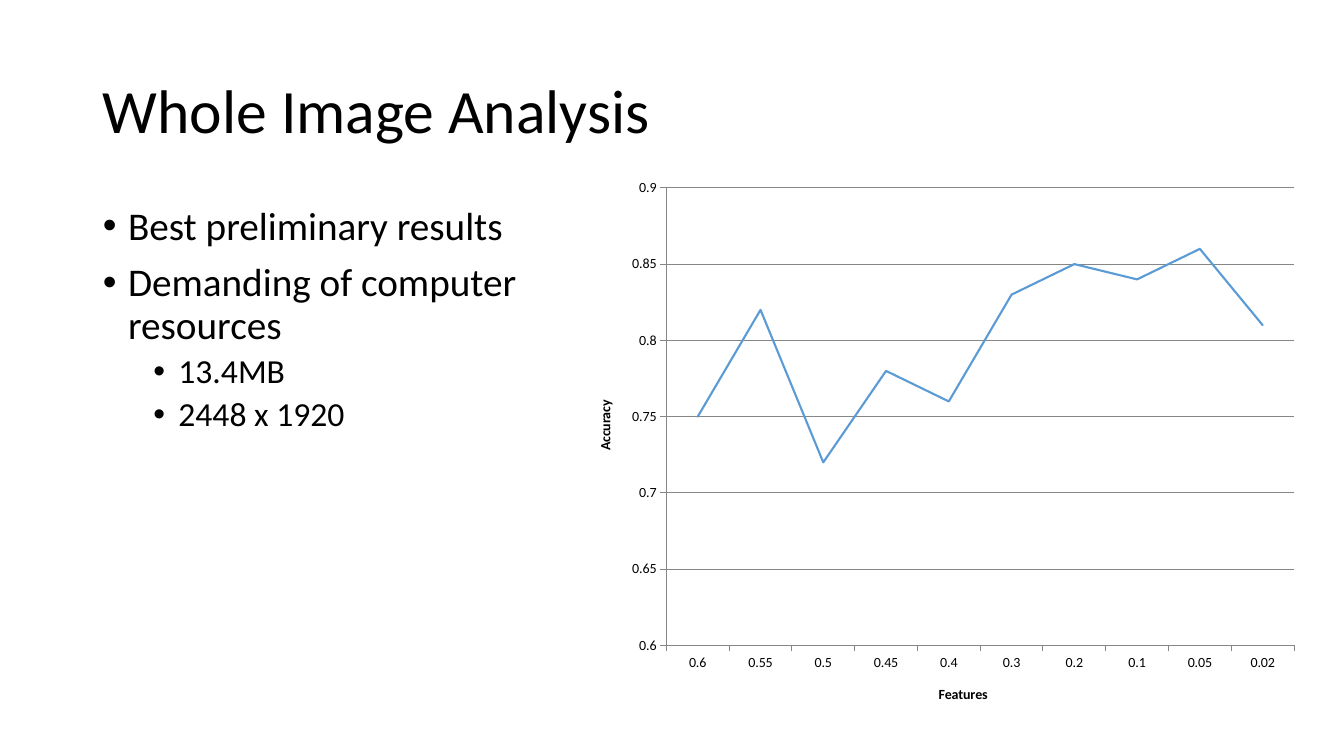
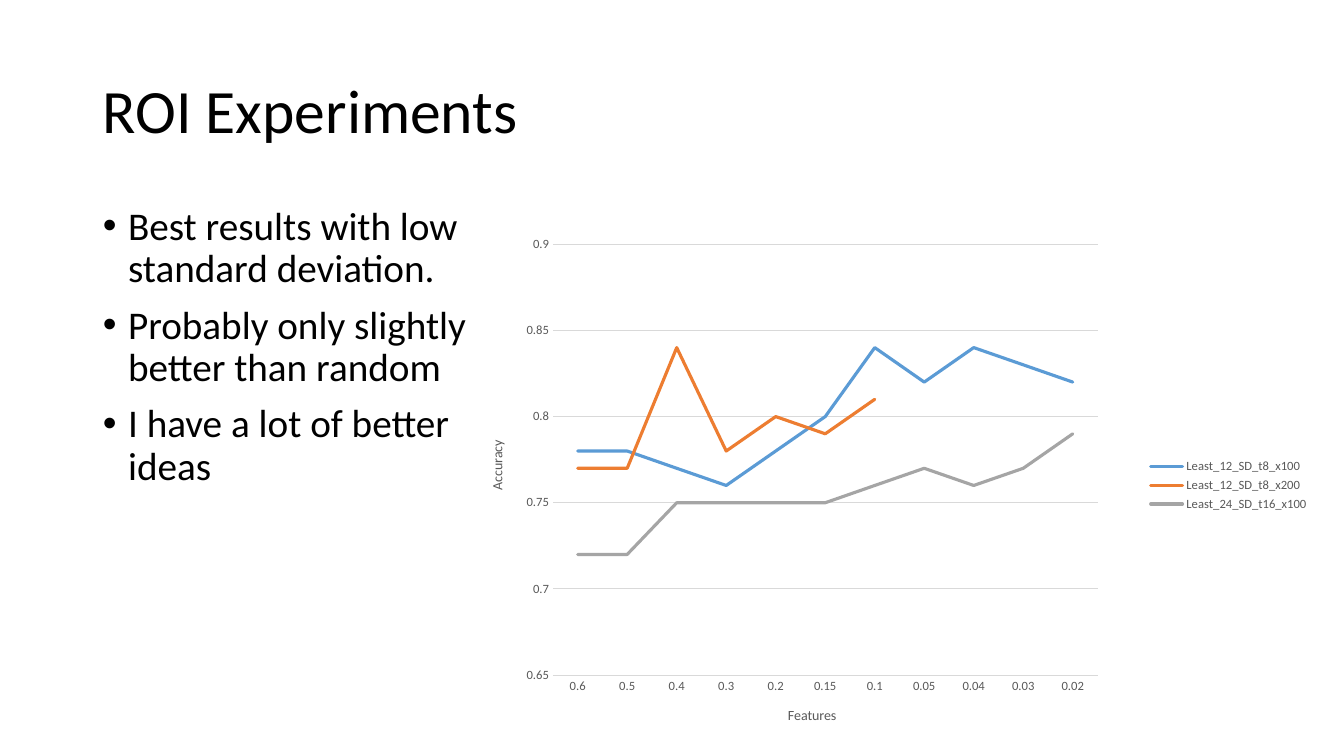
"""Build two slides that pair a bullet list with a line chart of accuracy."""
from dataclasses import dataclass
from typing import Any, Optional

import lxml.etree
import pptx
import pptx.chart.data
import pptx.dml.color
import pptx.enum.chart
import pptx.enum.text
import pptx.oxml.ns
import pptx.util

Inches = pptx.util.Inches
Pt = pptx.util.Pt
qn = pptx.oxml.ns.qn
XL = pptx.enum.chart

FONT = "Calibri"
COLORS = {
    "text": "000000",
    "muted": "595959",
    "rule": "868686",
    "pale": "D9D9D9",
    "blue": "5B9BD5",
    "orange": "ED7D31",
    "gray": "A5A5A5",
}
SERIES_COLORS = ("blue", "orange", "gray")
LEVELS = (
    {"size": 28, "before": 10, "margin": 0.25},
    {"size": 24, "before": 5, "margin": 0.75},
)


@dataclass(frozen=True)
class ChartStyle:
    kind: Any
    label_size: int
    text: str
    axis_color: str
    value_line: bool
    tick: Any
    bold_titles: bool
    line_width: float
    legend: bool


@dataclass(frozen=True)
class ChartSlide:
    title: str
    bullets: tuple[tuple[int, str], ...]
    body_width: float
    box: tuple[float, float, float, float]
    plot: tuple[float, float, float, float]
    value_min: float
    categories: tuple[str, ...]
    series: dict[str, tuple[Optional[float], ...]]
    style: ChartStyle


PLAIN = ChartStyle(XL.XL_CHART_TYPE.LINE_STACKED, 10, "text", "rule", True,
                   XL.XL_TICK_MARK.OUTSIDE, True, 1.5, False)
SOFT = ChartStyle(XL.XL_CHART_TYPE.LINE, 9, "muted", "pale", False,
                  XL.XL_TICK_MARK.NONE, False, 2.25, True)

SLIDES = (
    ChartSlide(
        "Whole Image Analysis",
        ((0, "Best preliminary results"),
         (0, "Demanding of computer resources"),
         (1, "13.4MB"),
         (1, "2448 x 1920")),
        4.39, (5.74, 1.7, 7.24, 5.47), (0.12, 0.03, 0.86, 0.83), 0.6,
        ("0.6", "0.55", "0.5", "0.45", "0.4", "0.3", "0.2", "0.1", "0.05", "0.02"),
        {"Series 1": (0.75, 0.82, 0.72, 0.78, 0.76, 0.83, 0.85, 0.84, 0.86, 0.81)},
        PLAIN),
    ChartSlide(
        "ROI Experiments",
        ((0, "Best results with low standard deviation."),
         (0, "Probably only slightly better than random"),
         (0, "I have a lot of better ideas")),
        3.85, (4.64, 2.27, 8.44, 5.09), (0.1, 0.03, 0.64, 0.84), 0.65,
        ("0.6", "0.5", "0.4", "0.3", "0.2", "0.15", "0.1", "0.05", "0.04", "0.03", "0.02"),
        {"Least_12_SD_t8_x100":
            (0.78, 0.78, 0.77, 0.76, 0.78, 0.8, 0.84, 0.82, 0.84, 0.83, 0.82),
         "Least_12_SD_t8_x200":
            (0.77, 0.77, 0.84, 0.78, 0.8, 0.79, 0.81, None, None, None, None),
         "Least_24_SD_t16_x100":
            (0.72, 0.72, 0.75, 0.75, 0.75, 0.75, 0.76, 0.77, 0.76, 0.77, 0.79)},
        SOFT),
)


def rgb(name: str) -> pptx.dml.color.RGBColor:
    return pptx.dml.color.RGBColor.from_string(COLORS[name])


def set_font(font: Any, size: float, color: str = "text", bold: bool = False) -> None:
    font.name, font.size, font.bold = FONT, Pt(size), bold
    font.color.rgb = rgb(color)


def set_line(line: Any, color: str, width: float = 0.75) -> None:
    line.color.rgb = rgb(color)
    line.width = Pt(width)


def add_text(tf: Any, text: str, *, first: bool = True, size: float = 28,
             color: str = "text", bold: bool = False, level: int = 0,
             before: float = 0, spacing: Optional[float] = None,
             margin: Optional[float] = None) -> None:
    p = tf.paragraphs[0] if first else tf.add_paragraph()
    p.level = level
    if spacing:
        p.line_spacing = spacing
        p.space_before = Pt(0 if first else before)
        p.alignment = pptx.enum.text.PP_ALIGN.LEFT
    if margin is not None:
        pPr = p._p.get_or_add_pPr()
        pPr.set("marL", str(Inches(margin)))
        pPr.set("indent", str(Inches(-0.25)))
        lxml.etree.SubElement(pPr, qn("a:buFont")).set("typeface", "Arial")
        lxml.etree.SubElement(pPr, qn("a:buChar")).set("char", "•")
    r = p.add_run()
    r.text = text
    set_font(r.font, size, color, bold)


def place(sp: Any, box: tuple[float, float, float, float], anchor: Any) -> Any:
    sp.left, sp.top, sp.width, sp.height = map(Inches, box)
    tf = sp.text_frame
    tf.word_wrap = True
    tf.auto_size = pptx.enum.text.MSO_AUTO_SIZE.NONE
    tf.vertical_anchor = anchor
    return tf


def set_plot_layout(chart: Any, plot: tuple[float, float, float, float]) -> None:
    area = chart.element.find(".//" + qn("c:plotArea"))
    for old in area.findall(qn("c:layout")):
        area.remove(old)
    layout = lxml.etree.Element(qn("c:layout"))
    area.insert(0, layout)
    manual = lxml.etree.SubElement(layout, qn("c:manualLayout"))
    settings = [("layoutTarget", "inner"), ("xMode", "edge"), ("yMode", "edge")]
    settings += zip("xywh", map(str, plot))
    for tag, value in settings:
        lxml.etree.SubElement(manual, qn("c:" + tag)).set("val", value)


def format_axis(axis: Any, title: str, style: ChartStyle, line: bool) -> None:
    axis.major_tick_mark = style.tick
    axis.minor_tick_mark = XL.XL_TICK_MARK.NONE
    set_font(axis.tick_labels.font, style.label_size, style.text)
    if line:
        set_line(axis.format.line, style.axis_color)
    else:
        axis.format.line.fill.background()
    add_text(axis.axis_title.text_frame, title, size=10, color=style.text,
             bold=style.bold_titles)


def add_line_chart(s: Any, spec_: ChartSlide) -> None:
    style = spec_.style
    data = pptx.chart.data.CategoryChartData()
    data.categories = spec_.categories
    for name, values in spec_.series.items():
        data.add_series(name, values)
    chart = s.shapes.add_chart(style.kind, *map(Inches, spec_.box), data).chart
    set_font(chart.font, 10)
    chart.has_title = False
    chart.has_legend = style.legend
    if style.legend:
        chart.legend.position = XL.XL_LEGEND_POSITION.RIGHT
        chart.legend.include_in_layout = False
        set_font(chart.legend.font, style.label_size, style.text)

    format_axis(chart.category_axis, "Features", style, True)
    axis = chart.value_axis
    format_axis(axis, "Accuracy", style, style.value_line)
    body = axis.axis_title.element.find(".//" + qn("a:bodyPr"))
    body.set("rot", "-5400000")
    body.set("vert", "horz")
    axis.minimum_scale, axis.maximum_scale, axis.major_unit = spec_.value_min, 0.9, 0.05
    axis.tick_labels.number_format = "General"
    axis.tick_labels.number_format_is_linked = False
    axis.has_major_gridlines = True
    set_line(axis.major_gridlines.format.line, style.axis_color)

    plot = chart.plots[0]
    plot.vary_by_categories = False
    for series, color in zip(plot.series, SERIES_COLORS):
        series.smooth = False
        series.marker.style = XL.XL_MARKER_STYLE.NONE
        set_line(series.format.line, color, style.line_width)
        series.format.line.fill._xPr.set("cap", "rnd")
    set_plot_layout(chart, spec_.plot)


def add_chart_slide(prs: Any, content: ChartSlide) -> None:
    s = prs.slides.add_slide(prs.slide_layouts[1])
    anchors = pptx.enum.text.MSO_ANCHOR
    tf = place(s.shapes.title, (0.92, 0.4, 11.5, 1.45), anchors.MIDDLE)
    add_text(tf, content.title, size=44, spacing=0.9)
    tf = place(s.placeholders[1], (0.92, 2, content.body_width, 4.76), anchors.TOP)
    for i, (level, text) in enumerate(content.bullets):
        add_text(tf, text, first=i == 0, level=level, spacing=0.9, **LEVELS[level])
    add_line_chart(s, content)


def main() -> None:
    prs = pptx.Presentation()
    prs.slide_width, prs.slide_height = Inches(13.33), Inches(7.5)
    for content in SLIDES:
        add_chart_slide(prs, content)
    prs.save("out.pptx")


if __name__ == "__main__":
    main()
